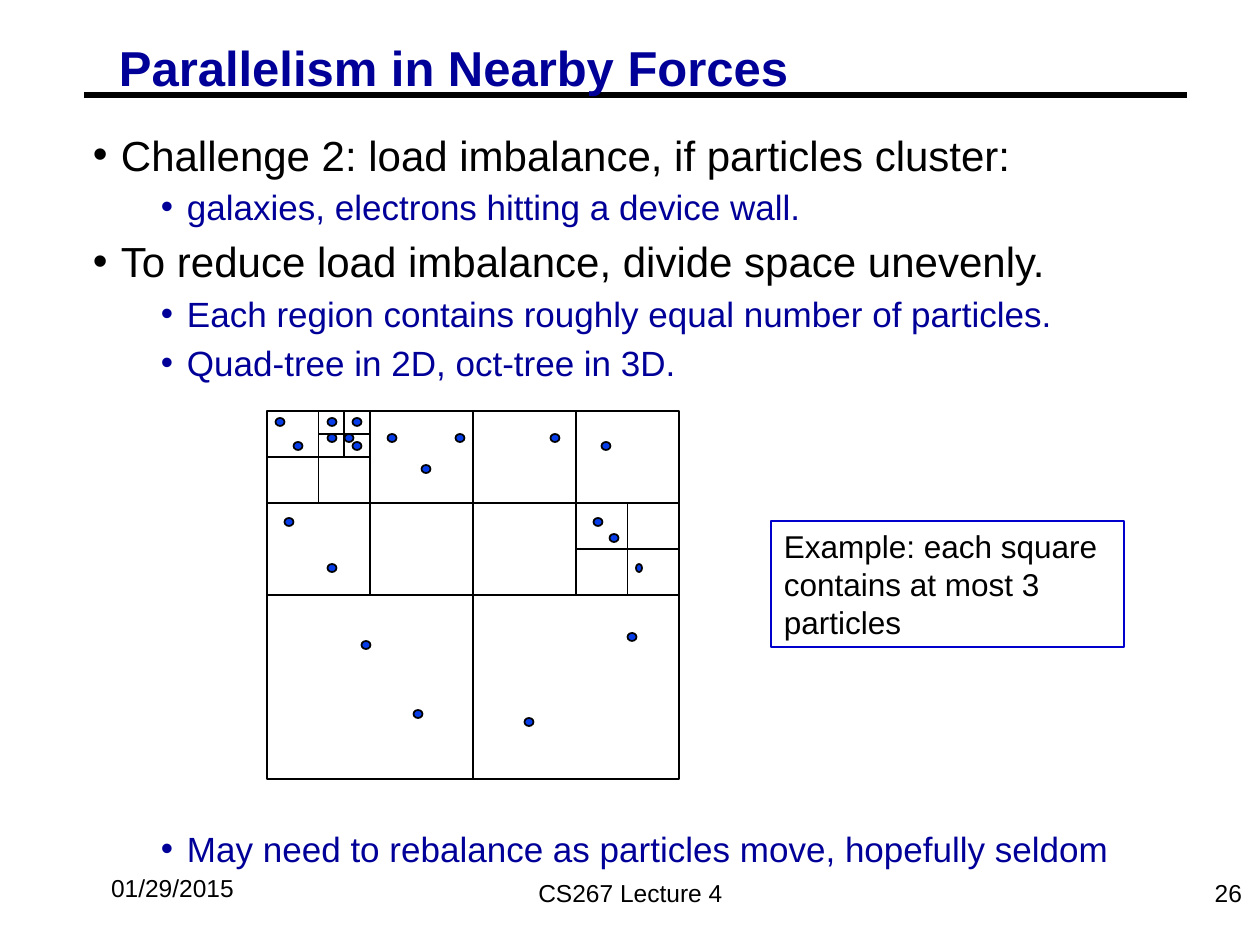
from lxml import etree
from pptx import Presentation
from pptx.dml.color import RGBColor
from pptx.enum.shapes import MSO_CONNECTOR, MSO_SHAPE
from pptx.enum.text import MSO_ANCHOR, PP_ALIGN
from pptx.oxml.ns import qn
from pptx.util import Pt

PX = 914400 / 126
BLACK = RGBColor(0x00, 0x00, 0x00)
NAVY = RGBColor(0x00, 0x00, 0x99)
BOX_BLUE = RGBColor(0x00, 0x00, 0xCC)
DOT_BLUE = RGBColor(0x06, 0x3D, 0xE8)
FONT = "Arial"

# level, text, space before in points
BULLETS = [
    (0, "Challenge 2: load imbalance, if particles cluster:", 0),
    (1, "galaxies, electrons hitting a device wall.", 3.7),
    (0, "To reduce load imbalance, divide space unevenly.", 4.5),
    (1, "Each region contains roughly equal number of particles.", 3.7),
    (1, "Quad-tree in 2D, oct-tree in 3D.", 3.7),
    (1, "May need to rebalance as particles move, hopefully seldom", 254),
]
# size, colour, left margin and hanging indent for each level
LEVELS = [(24, BLACK, 28, 28), (20, NAVY, 94, 26)]

TREE_LEFT, TREE_TOP, TREE_WIDTH, TREE_HEIGHT = 267, 411, 412, 368
CELLS = 16
# x1, y1, x2, y2 in sixteenths of the square
SPLITS = [
    (0, 8, 16, 8), (8, 0, 8, 16),
    (0, 4, 16, 4), (4, 0, 4, 8), (12, 0, 12, 8),
    (2, 0, 2, 4), (0, 2, 4, 2), (3, 0, 3, 2), (2, 1, 4, 1),
    (12, 6, 16, 6), (14, 4, 14, 8),
]
PARTICLES = [
    (529, 722), (366, 645), (632, 637), (418, 714), (289, 522), (332, 568),
    (598, 522), (614, 538), (426, 469), (392, 438), (460, 438), (332, 422),
    (332, 438), (357, 422), (349, 438), (357, 446), (280, 422), (298, 446),
    (555, 438), (606, 446),
]


def px(n):
    return round(n * PX)


def set_font(p, size, color, bold=False):
    for r in p.runs:
        r.font.name = FONT
        r.font.size = Pt(size)
        r.font.bold = bold
        r.font.color.rgb = color


def set_insets(tf, x, y):
    tf.margin_left = tf.margin_right = px(x)
    tf.margin_top = tf.margin_bottom = px(y)


def add_text(s, box, text, size, color=BLACK, bold=False,
             align=PP_ALIGN.LEFT, anchor=MSO_ANCHOR.TOP, insets=(13, 6)):
    tf = s.shapes.add_textbox(*map(px, box)).text_frame
    tf.word_wrap = True
    tf.vertical_anchor = anchor
    set_insets(tf, *insets)
    tf.text = text
    p = tf.paragraphs[0]
    p.alignment = align
    set_font(p, size, color, bold)
    return p


def add_bullets(s, box):
    tf = s.shapes.add_textbox(*map(px, box)).text_frame
    tf.word_wrap = True
    set_insets(tf, 9, 4)
    for i, (level, text, before) in enumerate(BULLETS):
        p = tf.add_paragraph() if i else tf.paragraphs[0]
        size, color, margin, hang = LEVELS[level]
        p.text = text
        p.level = level
        p.space_before = Pt(before)
        pPr = p._p.get_or_add_pPr()
        pPr.set("marL", str(px(margin)))
        pPr.set("indent", str(-px(hang)))
        bu_color = etree.SubElement(pPr, qn("a:buClr"))
        etree.SubElement(bu_color, qn("a:srgbClr"), val=str(color))
        etree.SubElement(pPr, qn("a:buFont"), typeface=FONT)
        etree.SubElement(pPr, qn("a:buChar"), char="•")
        set_font(p, size, color)


def add_line(s, x1, y1, x2, y2, width=1):
    line = s.shapes.add_connector(MSO_CONNECTOR.STRAIGHT, *map(px, (x1, y1, x2, y2)))
    line.line.color.rgb = BLACK
    line.line.width = Pt(width)
    etree.SubElement(line._element.spPr, qn("a:effectLst"))


def add_outlined(s, kind, box, line_color=BLACK, fill=None):
    sp = s.shapes.add_shape(kind, *map(px, box))
    sp.shadow.inherit = False
    sp.line.color.rgb = line_color
    sp.line.width = Pt(1)
    if fill is None:
        sp.fill.background()
    else:
        sp.fill.solid()
        sp.fill.fore_color.rgb = fill
    return sp


def add_particle(s, x, y, width=9, height=8):
    box = (x - width / 2, y - height / 2, width, height)
    add_outlined(s, MSO_SHAPE.OVAL, box, fill=DOT_BLUE)


def add_quad_tree(s):
    add_outlined(s, MSO_SHAPE.RECTANGLE, (TREE_LEFT, TREE_TOP, TREE_WIDTH, TREE_HEIGHT))
    dx, dy = TREE_WIDTH / CELLS, TREE_HEIGHT / CELLS
    for x1, y1, x2, y2 in SPLITS:
        add_line(s, TREE_LEFT + x1 * dx, TREE_TOP + y1 * dy,
                 TREE_LEFT + x2 * dx, TREE_TOP + y2 * dy)
    for x, y in PARTICLES:
        add_particle(s, x, y)
    add_particle(s, 639, 568, width=6)


def add_example(s):
    sp = add_outlined(s, MSO_SHAPE.RECTANGLE, (771, 521, 353, 126), BOX_BLUE)
    tf = sp.text_frame
    tf.word_wrap = True
    tf.vertical_anchor = MSO_ANCHOR.TOP
    set_insets(tf, 13, 6)
    tf.text = "Example: each square contains at most 3 particles"
    p = tf.paragraphs[0]
    p.alignment = PP_ALIGN.LEFT
    set_font(p, 18, BLACK)


def add_footer(s):
    add_text(s, (98, 867, 180, 43), "01/29/2015", 14)
    add_text(s, (431, 861, 399, 63), "CS267 Lecture 4", 14,
             align=PP_ALIGN.CENTER, anchor=MSO_ANCHOR.MIDDLE)
    add_text(s, (993, 861, 262, 63), "26", 14,
             align=PP_ALIGN.RIGHT, anchor=MSO_ANCHOR.MIDDLE)


def main():
    prs = Presentation()
    prs.slide_width, prs.slide_height = px(1260), px(945)
    s = prs.slides.add_slide(prs.slide_layouts[6])
    add_line(s, 84, 95, 1187, 95, width=3.75)
    add_footer(s)
    title = add_text(s, (110, 42, 1013, 58), "Parallelism in Nearby Forces", 28,
                     NAVY, bold=True, insets=(9, 4))
    title.line_spacing = 0.87
    add_bullets(s, (84, 125, 1103, 752))
    add_quad_tree(s)
    add_example(s)
    prs.save("out.pptx")


if __name__ == "__main__":
    main()
